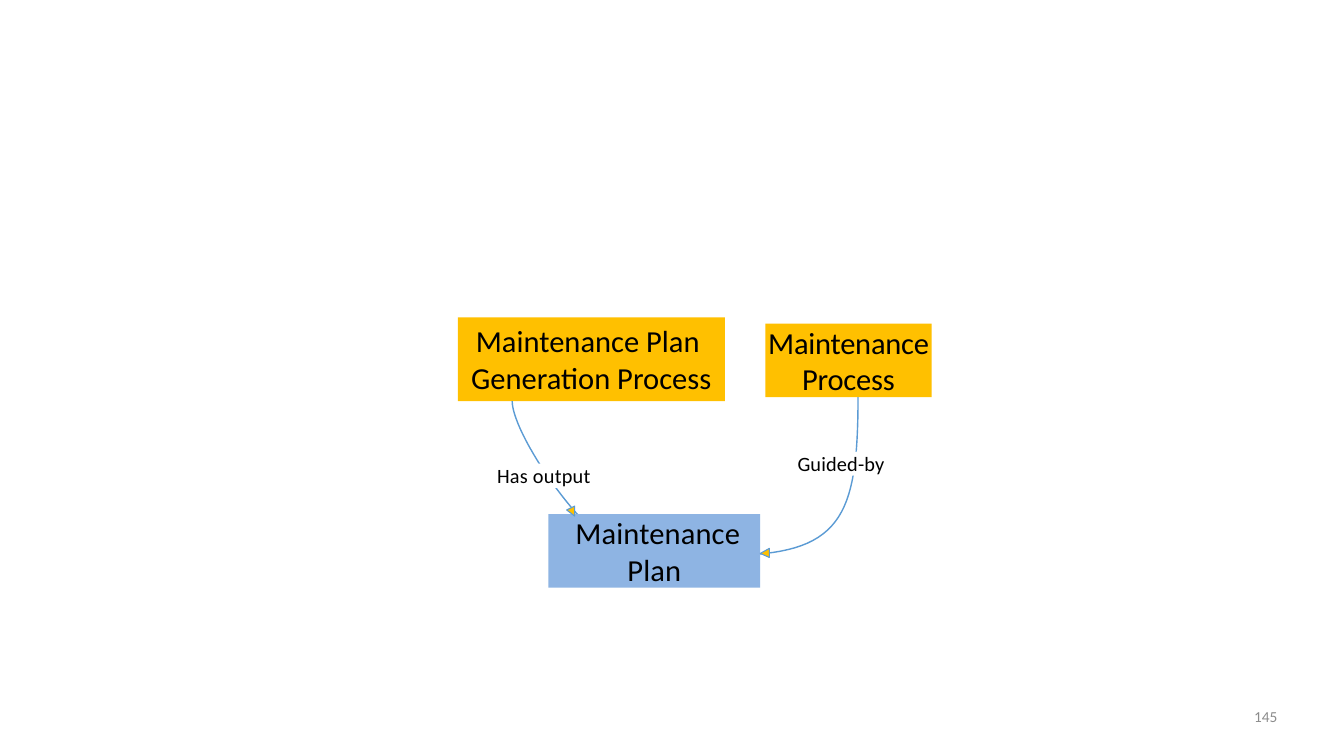
import dataclasses

import pptx
import pptx.dml.color
import pptx.enum.shapes
import pptx.enum.text
import pptx.shapes.autoshape
import pptx.slide
import pptx.util

Inches = pptx.util.Inches
Align = pptx.enum.text.PP_ALIGN
Anchor = pptx.enum.text.MSO_ANCHOR
Point = tuple[float, float]

COLORS = {
    "process": "FFC000",
    "plan": "8EB4E3",
    "label": "FFFFFF",
    "link": "5B9BD4",
    "text": "000000",
    "number": "8C8C8C",
}
CURVE_STEPS = 32


@dataclasses.dataclass(frozen=True)
class Block:
    text: str
    left: float
    top: float
    width: float
    height: float
    fill: str | None
    size: float = 21.8
    spacing: int = 10
    align: Align = Align.CENTER
    anchor: Anchor = Anchor.TOP
    color: str = "text"
    inset: Point = (0, 0)
    wrap: bool = True


@dataclasses.dataclass(frozen=True)
class Relation:
    curve: tuple[Point, Point, Point, Point]
    arrowhead: tuple[Point, Point, Point]


PROCESSES = [
    Block("Maintenance Process", 7.59, 3.21, 1.65, 0.73, "process", spacing=-20),
    Block("Maintenance Plan \nGeneration Process", 4.54, 3.15, 2.65, 0.83, "process",
          spacing=0, inset=(0.1, 0.05), wrap=False),
]
RELATIONS = [
    Relation(((8.51, 3.94), (8.51, 5.15), (8.34, 5.51), (7.19, 5.51)),
             ((7.63, 5.53), (7.63, 5.44), (7.54, 5.49))),
    Relation(((5.08, 3.98), (5.08, 4.33), (5.92, 5.56), (6.4, 5.56)),
             ((5.7, 5.02), (5.62, 5.06), (5.7, 5.12))),
]
PLAN_AND_LABELS = [
    Block("Has output", 4.93, 4.6, 1.02, 0.24, "label", 14.5, 17, Align.LEFT),
    Block(" Maintenance Plan", 5.44, 5.1, 2.1, 0.73, "plan", spacing=8),
    Block("Guided-by", 7.91, 4.48, 1.02, 0.24, "label", 14.5, 10, Align.LEFT),
]
PAGE_NUMBER = Block("145", 9.6, 6.97, 3.07, 0.27, None, 10.9, 0,
                    Align.RIGHT, Anchor.MIDDLE, "number")


def rgb(name: str) -> pptx.dml.color.RGBColor:
    return pptx.dml.color.RGBColor.from_string(COLORS[name])


def draw_block(slide: pptx.slide.Slide, block: Block) -> None:
    place = [Inches(v) for v in (block.left, block.top, block.width, block.height)]
    if block.fill:
        area = slide.shapes.add_shape(pptx.enum.shapes.MSO_SHAPE.RECTANGLE, *place)
        area.shadow.inherit = False
        area.fill.solid()
        area.fill.fore_color.rgb = rgb(block.fill)
        area.line.fill.background()
    else:
        area = slide.shapes.add_textbox(*place)
    frame = area.text_frame
    frame.text = block.text
    frame.word_wrap = block.wrap
    frame.vertical_anchor = block.anchor
    frame.margin_left = frame.margin_right = Inches(block.inset[0])
    frame.margin_top = frame.margin_bottom = Inches(block.inset[1])
    for paragraph in frame.paragraphs:
        paragraph.alignment = block.align
        for run in paragraph.runs:
            run.font.name = "Calibri"
            run.font.size = pptx.util.Pt(block.size)
            run.font.color.rgb = rgb(block.color)
            run.font._element.set("spc", str(block.spacing))


def bezier(curve: tuple[Point, Point, Point, Point]) -> list[Point]:
    points = []
    for step in range(CURVE_STEPS + 1):
        t = step / CURVE_STEPS
        weights = ((1 - t) ** 3, 3 * t * (1 - t) ** 2, 3 * t * t * (1 - t), t ** 3)
        x, y = (sum(w * p[axis] for w, p in zip(weights, curve)) for axis in (0, 1))
        points.append((x, y))
    return points


def draw_outline(slide: pptx.slide.Slide, points: list[Point], weight: float,
                 close: bool) -> pptx.shapes.autoshape.Shape:
    start, *rest = [(Inches(x), Inches(y)) for x, y in points]
    builder = slide.shapes.build_freeform(*start)
    builder.add_line_segments(rest, close=close)
    outline = builder.convert_to_shape()
    outline.shadow.inherit = False
    outline.fill.background()
    outline.line.color.rgb = rgb("link")
    outline.line.width = pptx.util.Pt(weight)
    return outline


def main() -> None:
    deck = pptx.Presentation()
    deck.slide_width, deck.slide_height = Inches(13.33), Inches(7.5)
    slide = deck.slides.add_slide(deck.slide_layouts[6])
    for process in PROCESSES:
        draw_block(slide, process)
    for relation in RELATIONS:
        draw_outline(slide, bezier(relation.curve), 1, False)
    for block in PLAN_AND_LABELS:
        draw_block(slide, block)
    for relation in RELATIONS:
        arrowhead = draw_outline(slide, list(relation.arrowhead), 0.75, True)
        arrowhead.fill.solid()
        arrowhead.fill.fore_color.rgb = rgb("process")
    draw_block(slide, PAGE_NUMBER)
    deck.save("out.pptx")


if __name__ == "__main__":
    main()
